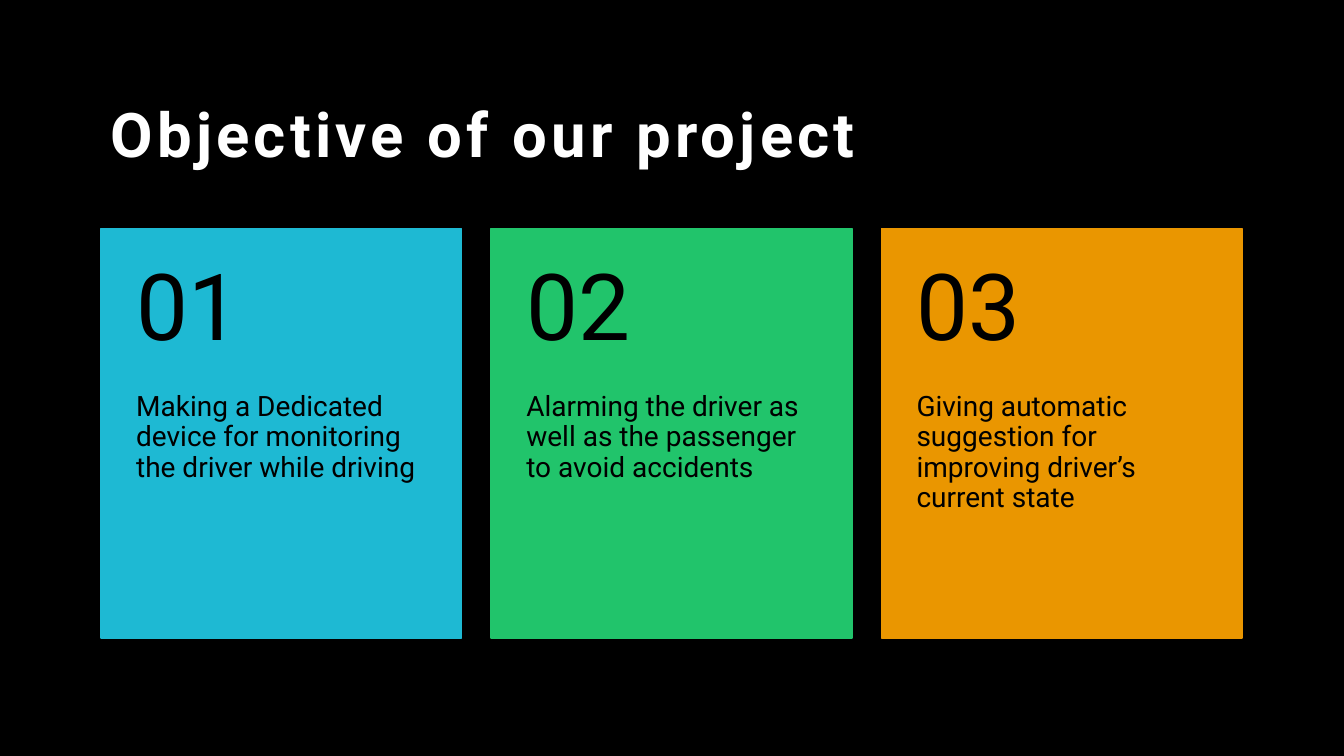
import dataclasses

import pptx
import pptx.dml.color
import pptx.enum.shapes
import pptx.enum.text
import pptx.util

WIDTH, HEIGHT = 13.33, 7.5
LEFT, TOP = 1, 2.27
CARD, TALL, STEP = 3.58, 4.06, 3.87
HEAD = 0.4 * TALL
ANCHOR = pptx.enum.text.MSO_ANCHOR


@dataclasses.dataclass(frozen=True)
class Theme:
    """Colours, font and type sizes of the slide."""
    font: str = "Roboto"
    back: str = "000000"
    title: str = "FFFFFF"
    ink: str = "000000"
    fills: tuple = ("1EB9D3", "21C46B", "EA9600")
    large: int = 44
    digit: int = 66
    body: int = 20


THEME = Theme()
GOALS = (
    "Making a Dedicated device for monitoring the driver while driving",
    "Alarming the driver as well as the passenger to avoid accidents",
    "Giving automatic suggestion for improving driver’s current state",
)


def paint(fill, color):
    """Give a fill one solid colour."""
    fill.solid()
    fill.fore_color.rgb = pptx.dml.color.RGBColor.from_string(color)


def place(*box):
    """Turn a box in inches into slide lengths."""
    return [pptx.util.Inches(side) for side in box]


def write(slide, box, text, size, color, pads, anchor):
    """Add a wrapped text box and return its run."""
    frame = slide.shapes.add_textbox(*place(*box)).text_frame
    frame.word_wrap = True
    frame.vertical_anchor = anchor
    (frame.margin_left, frame.margin_top,
     frame.margin_right, frame.margin_bottom) = place(*pads)
    frame.text = text
    line = frame.paragraphs[0]
    line.line_spacing = 0.9
    run = line.runs[0]
    run.font.name = THEME.font
    run.font.size = pptx.util.Pt(size)
    paint(run.font.fill, color)
    return run


def title(slide, text):
    """Add the bold, widely spaced title."""
    box = (LEFT, 0.67, 2 * STEP + CARD, 1.38)
    run = write(slide, box, text, THEME.large, THEME.title,
                (0.1, 0.05, 0.1, 0.05), ANCHOR.MIDDLE)
    run.font.bold = True
    run._r.get_or_add_rPr().set("spc", "300")


def card(slide, index, text, color):
    """Add a coloured card with its number and goal."""
    left = LEFT + index * STEP
    shape = slide.shapes.add_shape(
        pptx.enum.shapes.MSO_SHAPE.RECTANGLE, *place(left, TOP, CARD, TALL))
    shape.shadow.inherit = False
    paint(shape.fill, color)
    paint(shape.line.fill, color)
    shape.line.width = pptx.util.Pt(1)
    write(slide, (left, TOP + HEAD, CARD, TALL - HEAD), text, THEME.body,
          THEME.ink, (0.35, 0, 0.35, 0.36), ANCHOR.TOP)
    write(slide, (left, TOP, CARD, HEAD), f"{index + 1:02d}", THEME.digit,
          THEME.ink, (0.35, 0.18, 0.35, 0.18), ANCHOR.MIDDLE)


def main():
    """Build and save the slide."""
    deck = pptx.Presentation()
    deck.slide_width, deck.slide_height = place(WIDTH, HEIGHT)
    slide = deck.slides.add_slide(deck.slide_layouts[6])
    paint(slide.background.fill, THEME.back)
    title(slide, "Objective of our project")
    for index, (text, color) in enumerate(zip(GOALS, THEME.fills)):
        card(slide, index, text, color)
    deck.save("out.pptx")


if __name__ == "__main__":
    main()
